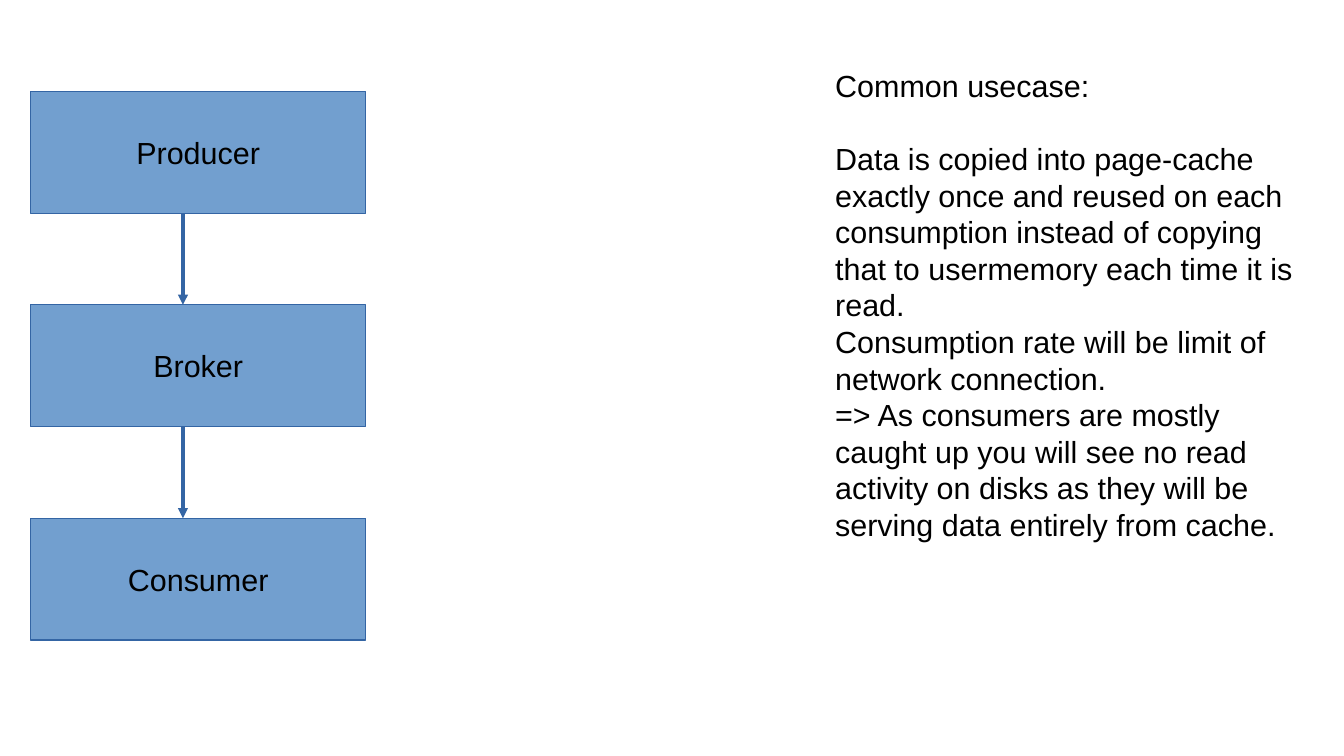
from pptx import Presentation
from pptx.dml.color import RGBColor
from pptx.enum.shapes import MSO_CONNECTOR as Link, MSO_SHAPE as Form
from pptx.enum.text import MSO_ANCHOR as Anchor, MSO_AUTO_SIZE as Fit, PP_ALIGN as Align
from pptx.oxml.ns import qn
from pptx.util import Inches, Pt
from lxml.etree import SubElement

FILL, EDGE, INK = "729FCF", "3465A4", "000000"
LEFT, TOP, WIDTH, HEIGHT = 0.25, 0.75, 2.75, 1
STEP = 1.75
ARROW_X = 1.5

STAGES = ["Producer", "Broker", "Consumer"]
NOTES = [
    "Common usecase:",
    "Data is copied into page-cache exactly once and reused on each "
    "consumption instead of copying that to usermemory each time it is read.",
    "Consumption rate will be limit of network connection.",
    "=> As consumers are mostly caught up you will see no read activity on "
    "disks as they will be serving data entirely from cache.",
]


def color(code):
    return RGBColor.from_string(code)


def style(para):
    para.font.name = "Arial"
    para.font.size = Pt(18)
    para.font.color.rgb = color(INK)


def add_box(slide, text, top):
    box = slide.shapes.add_shape(
        Form.RECTANGLE, Inches(LEFT), Inches(top), Inches(WIDTH), Inches(HEIGHT))
    box.shadow.inherit = False
    box.fill.solid()
    box.fill.fore_color.rgb = color(FILL)
    box.line.color.rgb = color(EDGE)
    box.line.width = Pt(0)
    frame = box.text_frame
    frame.word_wrap = False
    frame.vertical_anchor = Anchor.MIDDLE
    para = frame.paragraphs[0]
    para.text = text
    para.alignment = Align.CENTER
    style(para)


def add_arrow(slide, start, end):
    arrow = slide.shapes.add_connector(
        Link.STRAIGHT, Inches(ARROW_X), Inches(start), Inches(ARROW_X), Inches(end))
    arrow.line.color.rgb = color(EDGE)
    arrow.line.width = Pt(0)
    SubElement(arrow.line._get_or_add_ln(), qn("a:tailEnd"), type="triangle")
    SubElement(arrow._element.spPr, qn("a:effectLst"))


def add_notes(slide, lines):
    box = slide.shapes.add_textbox(Inches(6.75), Inches(0.5), Inches(4), Inches(3.74))
    frame = box.text_frame
    frame.word_wrap = True
    frame.auto_size = Fit.SHAPE_TO_FIT_TEXT
    for i, line in enumerate(lines):
        para = frame.add_paragraph() if i else frame.paragraphs[0]
        para.text = line
        style(para)
    # One line of space below the heading
    frame.paragraphs[0].space_after = Pt(21.6)


def main():
    deck = Presentation()
    deck.slide_width, deck.slide_height = Inches(11.02), Inches(6.2)
    slide = deck.slides.add_slide(deck.slide_layouts[6])

    # Stages from producer to consumer
    tops = [TOP + i * STEP for i in range(len(STAGES))]
    for text, top in zip(STAGES, tops):
        add_box(slide, text, top)

    # Explanation on the right
    add_notes(slide, NOTES)

    # Arrows between the stages
    for top in tops[1:]:
        add_arrow(slide, top - STEP + HEIGHT, top)

    deck.save("out.pptx")


if __name__ == "__main__":
    main()
